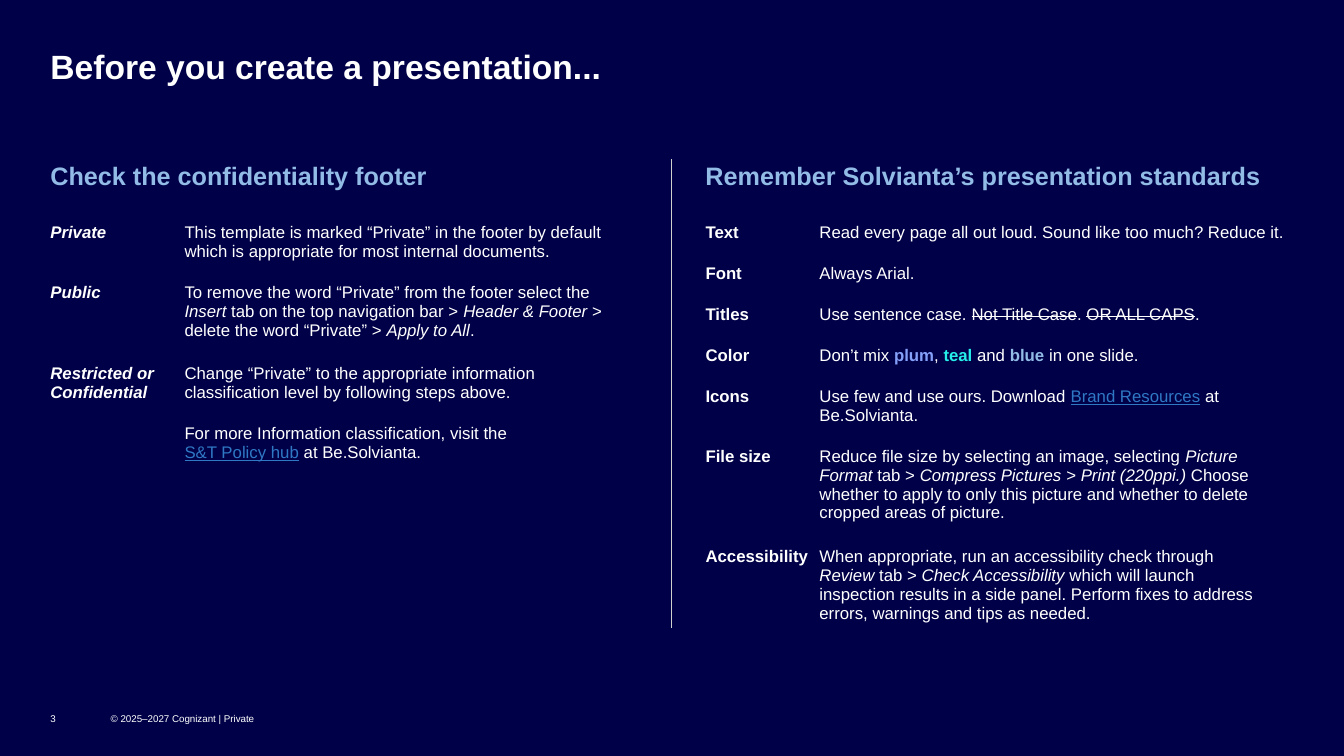
from copy import deepcopy

from lxml import etree
from pptx import Presentation
from pptx import util as u
from pptx.dml.color import RGBColor
from pptx.enum import shapes, text
from pptx.oxml import ns

NAVY = RGBColor(0x00, 0x00, 0x48)
WHITE = RGBColor(0xFF, 0xFF, 0xFF)
SKY = RGBColor(0x92, 0xBB, 0xE6)
LINK_BLUE = RGBColor(0x2F, 0x78, 0xC4)
PLUM = RGBColor(0x85, 0xA0, 0xF9)
TEAL = RGBColor(0x26, 0xEF, 0xE9)
GRAY = RGBColor(0xD0, 0xD0, 0xCE)

PLAIN_TABLE = "{2D5ABB26-0587-4C30-8999-92F81FD0307C}"
LEFT, RIGHT = 1.27, 17.78
TOP, TABLE_TOP = 4.01, 5.38
FOOTER_TOP = 17.78

BOLD = {"bold": True}
ITALIC = {"italic": True}
LINK = {"color": LINK_BLUE, "underline": True}
STRIKE = {"strike": True}

# Each row: label, then spans that are plain text or (text, format)
FOOTER_ROWS = [
    ("Private", ["This template is marked “Private” in the footer by default "
                 "which is appropriate for most internal documents."]),
    ("Public", ["To remove the word “Private” from the footer select the ",
                ("Insert", ITALIC), " tab on the top navigation bar > ",
                ("Header & Footer ", ITALIC), "> delete the word “Private” > ",
                ("Apply to All", ITALIC), "."]),
    ("Restricted or Confidential",
     ["Change “Private” to the appropriate information "
      "classification level by following steps above."]),
    ("", ["For more Information classification, visit the \n",
          ("S&T Policy hub", LINK), " at Be.Solvianta."]),
]
STANDARDS_ROWS = [
    ("Text", ["Read every page all out loud. Sound like too much? Reduce it."]),
    ("Font", ["Always Arial."]),
    ("Titles", ["Use sentence case. ", ("Not Title Case", STRIKE), ". ",
                ("OR ALL CAPS", STRIKE), "."]),
    ("Color", ["Don’t mix ", ("plum", {"color": PLUM, **BOLD}), ", ",
               ("teal", {"color": TEAL, **BOLD}), " and ",
               ("blue ", {"color": SKY, **BOLD}), "in one slide."]),
    ("Icons", ["Use few and use ours. Download ", ("Brand Resources", LINK),
               " at Be.Solvianta."]),
    ("File size", ["Reduce file size by selecting an image, selecting ",
                   ("Picture Format ", ITALIC), "tab > ",
                   ("Compress Pictures", ITALIC), " > ",
                   ("Print (220ppi.) ", ITALIC),
                   "Choose \nwhether to apply to only this picture and "
                   "whether to delete cropped areas of picture."]),
    ("Accessibility", ["When appropriate, run an accessibility check through ",
                       ("Review", ITALIC), " tab > ",
                       ("Check Accessibility", ITALIC),
                       " which will launch inspection results in a side panel. "
                       "Perform fixes to address errors, warnings and tips "
                       "as needed."]),
]


class SlideBuilder:
    font_name = "Arial"
    row_height = 1.03
    cell_margin = 0.25

    def __init__(self, page):
        self.page = page

    def span(self, para, content, style):
        """Add text to a paragraph, with a line break at each newline."""
        for index, line in enumerate(content.split("\n")):
            if index:
                para.add_line_break()
                para._p[-1].insert(0, deepcopy(span._r.rPr))
            if not line:
                continue
            span = para.add_run()
            span.text = line
            formats = {"name": self.font_name, "color": WHITE, **style}
            for key, value in formats.items():
                if key == "color":
                    span.font.color.rgb = value
                elif key == "strike":
                    span._r.get_or_add_rPr().set("strike", "sngStrike")
                else:
                    setattr(span.font, key, value)

    def text_box(self, content, left, top, width, height, style,
                 anchor=text.MSO_ANCHOR.TOP, line_spacing=1.0):
        box = self.page.shapes.add_textbox(
            u.Cm(left), u.Cm(top), u.Cm(width), u.Cm(height))
        settings = {"word_wrap": True, "vertical_anchor": anchor,
                    "margin_left": 0, "margin_right": 0,
                    "margin_top": 0, "margin_bottom": 0}
        for key, value in settings.items():
            setattr(box.text_frame, key, value)
        para = box.text_frame.paragraphs[0]
        para.line_spacing = line_spacing
        self.span(para, content, style)

    def heading(self, content, left, width):
        self.text_box(content, left, TOP, width, 0.79,
                      {"size": u.Pt(18), "color": SKY, **BOLD},
                      text.MSO_ANCHOR.BOTTOM)

    def footer(self, content, left, width):
        self.text_box(content, left, FOOTER_TOP, width, 0.64,
                      {"size": u.Pt(7)}, text.MSO_ANCHOR.MIDDLE)

    def divider(self, x, top, bottom):
        line = self.page.shapes.add_connector(
            shapes.MSO_CONNECTOR.STRAIGHT,
            u.Cm(x), u.Cm(top), u.Cm(x), u.Cm(bottom))
        line.line.color.rgb = GRAY
        line.line.width = u.Pt(1)
        etree.SubElement(line._element.spPr, ns.qn("a:effectLst"))

    def table(self, rows, left, widths, label_style, narrow_from=None):
        """Add a label/advice table; rows from narrow_from get a right margin."""
        frame = self.page.shapes.add_table(
            len(rows), 2, u.Cm(left), u.Cm(TABLE_TOP),
            u.Cm(sum(widths)), u.Cm(self.row_height * len(rows)))
        table = frame.table
        table.first_row = table.horz_banding = False
        table._tbl.tblPr.find(ns.qn("a:tableStyleId")).text = PLAIN_TABLE
        for column, width in zip(table.columns, widths):
            column.width = u.Cm(width)
        for index, (label, advice) in enumerate(rows):
            label_cell, advice_cell = table.rows[index].cells
            self.cell(label_cell, [(label, label_style)])
            self.cell(advice_cell, advice)
            if narrow_from is not None and index >= narrow_from:
                advice_cell.margin_right = u.Cm(0.51)

    def cell(self, cell, spans):
        cell.fill.background()
        margins = {"margin_left": 0, "margin_right": 0,
                   "margin_top": u.Cm(self.cell_margin),
                   "margin_bottom": u.Cm(self.cell_margin)}
        for key, value in margins.items():
            setattr(cell, key, value)
        para = cell.text_frame.paragraphs[0]
        for item in spans:
            content, style = (item, {}) if isinstance(item, str) else item
            self.span(para, content, {"size": u.Pt(12), "bold": False, **style})


def main():
    deck = Presentation()
    deck.slide_width, deck.slide_height = u.Cm(33.87), u.Cm(19.05)
    page = deck.slides.add_slide(deck.slide_layouts[6])
    page.background.fill.solid()
    page.background.fill.fore_color.rgb = NAVY
    builder = SlideBuilder(page)

    # Divider and title
    builder.divider(16.93, TOP, 15.82)
    builder.text_box("Before you create a presentation...", LEFT, 1.27, 31.32,
                     0.91, {"size": u.Pt(24), **BOLD}, line_spacing=0.9)

    # Confidentiality column
    builder.heading("Check the confidentiality footer", LEFT, 14.48)
    builder.table(FOOTER_ROWS, LEFT, (3.38, 11.1), {**BOLD, **ITALIC})

    # Standards column
    builder.heading("Remember Solvianta’s presentation standards", RIGHT, 14.4)
    builder.table(STANDARDS_ROWS, RIGHT, (2.87, 11.96), BOLD, narrow_from=5)

    # Footer
    builder.footer("3", LEFT, 1.02)
    builder.footer("© 2025–2027 Cognizant | Private", 2.79, 3.81)

    deck.save("out.pptx")


if __name__ == "__main__":
    main()
